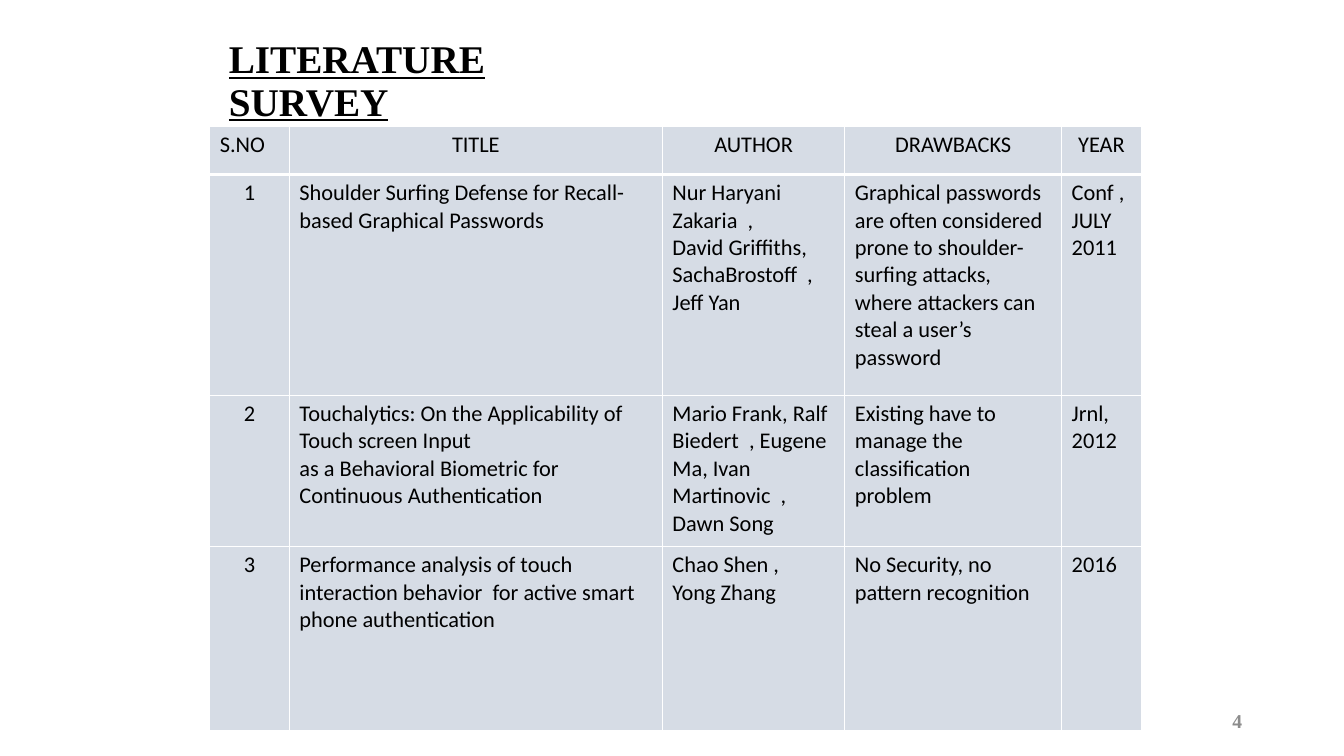
from lxml import etree
from pptx import Presentation
from pptx import util as u
from pptx.dml.color import RGBColor
from pptx.enum import text
from pptx.oxml.ns import qn

COLORS = {"ink": "000000", "cell": "D6DCE5", "rule": "FFFFFF", "number": "8C8C8C"}
HEADING = "LITERATURE SURVEY"
PAGE_NUMBER = "4"
HEADERS = ["S.NO", "TITLE", "AUTHOR", "DRAWBACKS", "YEAR"]
PAPERS = [
    (["1"],
     ["Shoulder Surfing Defense for Recall-based Graphical Passwords"],
     ["Nur Haryani Zakaria  ,", "David Griffiths, SachaBrostoff  , Jeff Yan"],
     ["Graphical passwords are often considered prone to shoulder-surfing attacks, "
      "where attackers can steal a user’s password"],
     ["Conf ,JULY 2011"]),
    (["2"],
     ["Touchalytics: On the Applicability of Touch screen Input",
      "as a Behavioral Biometric for Continuous Authentication"],
     ["Mario Frank, Ralf Biedert  , Eugene Ma, Ivan Martinovic  , Dawn Song"],
     ["Existing have to manage the classification problem"],
     ["Jrnl, 2012"]),
    (["3"],
     ["Performance analysis of touch interaction behavior  for active smart phone authentication"],
     ["Chao Shen ,", "Yong Zhang"],
     ["No Security, no pattern recognition"],
     ["2016"]),
]
COLUMN_WIDTHS = [0.79, 3.7, 1.81, 2.15, 0.79]
ROW_HEIGHTS = [0.48, 2.19, 1.5, 1.83]
TABLE_LEFT, TABLE_TOP = 2.08, 1.25
LEFT, CENTER, RIGHT = text.PP_ALIGN.LEFT, text.PP_ALIGN.CENTER, text.PP_ALIGN.RIGHT


def write(frame, lines, size, font, color, align=LEFT, bold=False, underline=False):
    for index, line in enumerate(lines):
        para = frame.add_paragraph() if index else frame.paragraphs[0]
        para.alignment = align
        span = para.add_run()
        span.text = line
        span.font.size = u.Pt(size)
        span.font.name = font
        span.font.bold = bold
        span.font.underline = underline
        span.font.color.rgb = RGBColor.from_string(COLORS[color])


def add_borders(cell, bottom):
    properties = cell._tc.get_or_add_tcPr()
    for index, (side, width) in enumerate([("L", 1), ("R", 1), ("T", 1), ("B", bottom)]):
        line = etree.Element(qn(f"a:ln{side}"), w=str(u.Pt(width)))
        fill = etree.SubElement(line, qn("a:solidFill"))
        etree.SubElement(fill, qn("a:srgbClr"), val=COLORS["rule"])
        properties.insert(index, line)


def add_heading(page):
    title = page.shapes.title
    title.left, title.top, title.width, title.height = map(u.Inches, (2.17, 0.3, 4.25, 1.03))
    frame = title.text_frame
    frame.word_wrap = True
    frame.auto_size = text.MSO_AUTO_SIZE.NONE
    frame.vertical_anchor = text.MSO_ANCHOR.MIDDLE
    write(frame, [HEADING], 28, "Times New Roman", "ink", bold=True, underline=True)
    frame.paragraphs[0].line_spacing = 0.9


def add_survey(page):
    rows = [[[header] for header in HEADERS], *PAPERS]
    table = page.shapes.add_table(
        len(rows), len(HEADERS), u.Inches(TABLE_LEFT), u.Inches(TABLE_TOP),
        u.Inches(sum(COLUMN_WIDTHS)), u.Inches(sum(ROW_HEIGHTS))).table
    for column, width in zip(table.columns, COLUMN_WIDTHS):
        column.width = u.Inches(width)
    for row, height in zip(table.rows, ROW_HEIGHTS):
        row.height = u.Inches(height)
    for r, row in enumerate(rows):
        for c, lines in enumerate(row):
            cell = table.cell(r, c)
            cell.fill.solid()
            cell.fill.fore_color.rgb = RGBColor.from_string(COLORS["cell"])
            add_borders(cell, bottom=1 if r else 3)
            centered = (r == 0) != (c == 0)
            write(cell.text_frame, lines, 16, "Calibri", "ink", CENTER if centered else LEFT)


def add_page_number(page):
    box = page.shapes.add_textbox(*map(u.Inches, (9.42, 6.95, 3, 0.4)))
    box.text_frame.word_wrap = True
    box.text_frame.vertical_anchor = text.MSO_ANCHOR.MIDDLE
    write(box.text_frame, [PAGE_NUMBER], 14, "Times New Roman", "number", RIGHT, bold=True)


def main():
    deck = Presentation()
    deck.slide_width, deck.slide_height = u.Inches(13.33), u.Inches(7.5)
    page = deck.slides.add_slide(deck.slide_layouts[5])
    add_heading(page)
    add_survey(page)
    add_page_number(page)
    deck.save("out.pptx")


if __name__ == "__main__":
    main()
